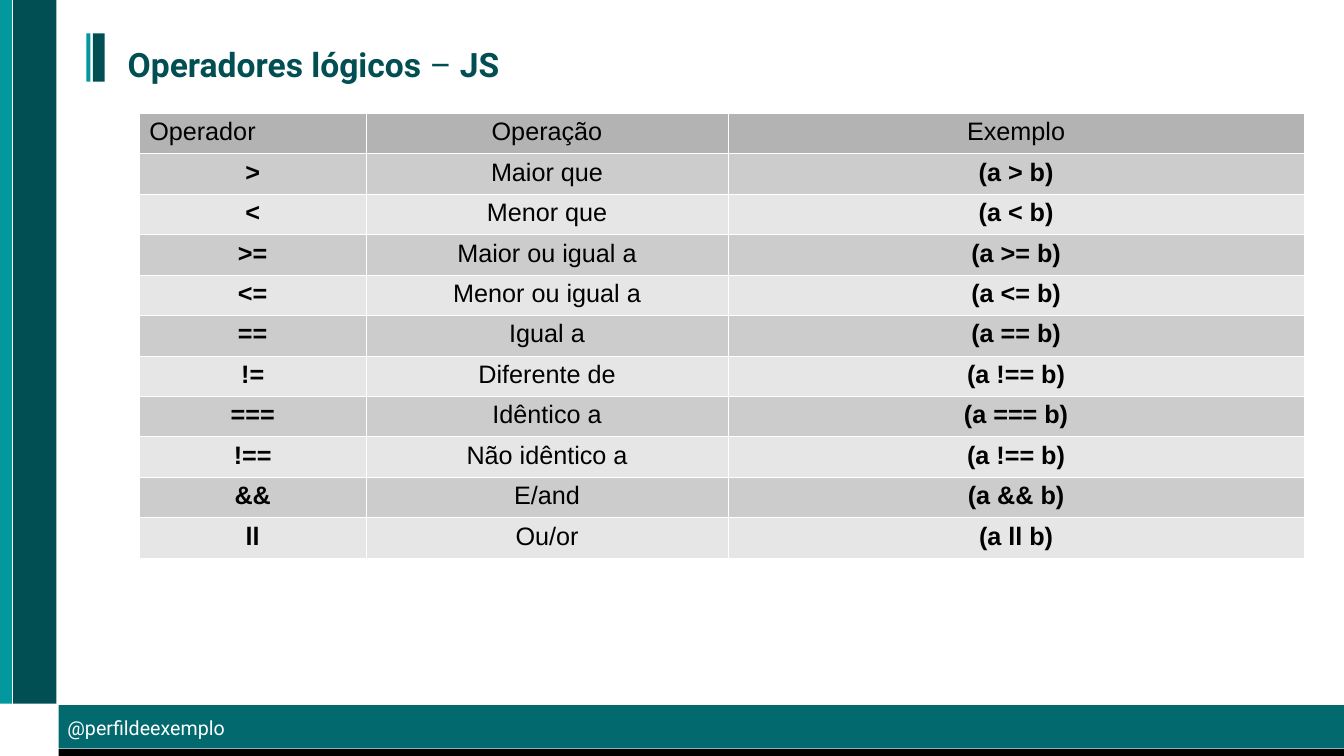
from lxml.etree import SubElement
from pptx import Presentation
from pptx.dml.color import RGBColor
from pptx.enum.shapes import MSO_SHAPE as Preset
from pptx.enum.text import PP_ALIGN as Align
from pptx.oxml.ns import qn
from pptx.util import Cm, Pt

TEAL = RGBColor(0x03, 0x98, 0x9E)
DARK_TEAL = RGBColor(0x01, 0x4F, 0x52)
FOOTER_TEAL = RGBColor(0x02, 0x6A, 0x6E)
BLACK = RGBColor(0, 0, 0)
WHITE = RGBColor(0xFF, 0xFF, 0xFF)
HEADER_GRAY = RGBColor(0xB3, 0xB3, 0xB3)
MID_GRAY = RGBColor(0xCC, 0xCC, 0xCC)
LIGHT_GRAY = RGBColor(0xE6, 0xE6, 0xE6)


def add_run(paragraph, text, font_name, size, color, bold=False):
    run = paragraph.add_run()
    run.text = text
    run.font.name = font_name
    run.font.size = Pt(size)
    run.font.color.rgb = color
    run.font.bold = bold


def add_borders(cell):
    properties = cell._tc.get_or_add_tcPr()
    for side in ("a:lnL", "a:lnR", "a:lnT", "a:lnB"):
        line = SubElement(properties, qn(side), w="720")
        fill = SubElement(line, qn("a:solidFill"))
        SubElement(fill, qn("a:srgbClr"), val=str(WHITE))


deck = Presentation()
deck.slide_width, deck.slide_height = Cm(33.88), Cm(19.05)
slide = deck.slides.add_slide(deck.slide_layouts[6])

bars = [
    (2.18, 0.84, 0.1, 1.22, TEAL),
    (2.34, 0.84, 0.3, 1.22, DARK_TEAL),
    (0, 0, 0.3, 17.73, TEAL),
    (0.33, 0, 1.09, 17.73, DARK_TEAL),
    (1.48, 18.87, 32.4, 0.18, BLACK),
    (1.48, 17.77, 32.4, 1.09, FOOTER_TEAL),
]
for left, top, width, height, color in bars:
    bar = slide.shapes.add_shape(Preset.RECTANGLE, Cm(left), Cm(top), Cm(width), Cm(height))
    bar.shadow.inherit = False
    bar.fill.solid()
    bar.fill.fore_color.rgb = color
    bar.line.fill.background()

handle = slide.shapes.add_textbox(Cm(1.45), Cm(17.91), Cm(4.9), Cm(0.84)).text_frame
handle.word_wrap = True
add_run(handle.paragraphs[0], "@perfildeexemplo", "Roboto", 14, WHITE)

title = slide.shapes.add_textbox(Cm(2.34), Cm(1.09), Cm(30.05), Cm(1.22)).text_frame
title.word_wrap = True
heading = title.paragraphs[0]
heading.line_spacing = 0.9
heading.space_before = Pt(10)
indents = heading._p.get_or_add_pPr()
indents.set("marL", str(Cm(1.27)))
indents.set("indent", str(-Cm(0.64)))
for text, bold in (("Operadores lógicos ", True), ("– ", False), ("JS", True)):
    add_run(heading, text, "Roboto", 24, DARK_TEAL, bold)

operators = [
    ("Operador", "Operação", "Exemplo"),
    (">", "Maior que", "(a > b)"),
    ("<", "Menor que", "(a < b)"),
    (">=", "Maior ou igual a", "(a >= b)"),
    ("<=", "Menor ou igual a", "(a <= b)"),
    ("==", "Igual a", "(a == b)"),
    ("!=", "Diferente de", "(a !== b)"),
    ("===", "Idêntico a", "(a === b)"),
    ("!==", "Não idêntico a", "(a !== b)"),
    ("&&", "E/and", "(a && b)"),
    ("ll", "Ou/or", "(a\u00a0ll\u00a0b)"),
]
column_widths = (5.72, 9.12, 14.53)
row_height = 1.02
operator_table = slide.shapes.add_table(
    len(operators), len(column_widths), Cm(3.51), Cm(2.84),
    Cm(sum(column_widths)), Cm(row_height * len(operators))).table
for column, width in zip(operator_table.columns, column_widths):
    column.width = Cm(width)
for r, entries in enumerate(operators):
    operator_table.rows[r].height = Cm(row_height)
    shade = HEADER_GRAY if r == 0 else MID_GRAY if r % 2 else LIGHT_GRAY
    for c, text in enumerate(entries):
        cell = operator_table.cell(r, c)
        add_borders(cell)
        cell.fill.solid()
        cell.fill.fore_color.rgb = shade
        paragraph = cell.text_frame.paragraphs[0]
        paragraph.alignment = Align.LEFT if r == c == 0 else Align.CENTER
        add_run(paragraph, text, "Arial", 18, BLACK, r > 0 and c != 1)

deck.save("out.pptx")
